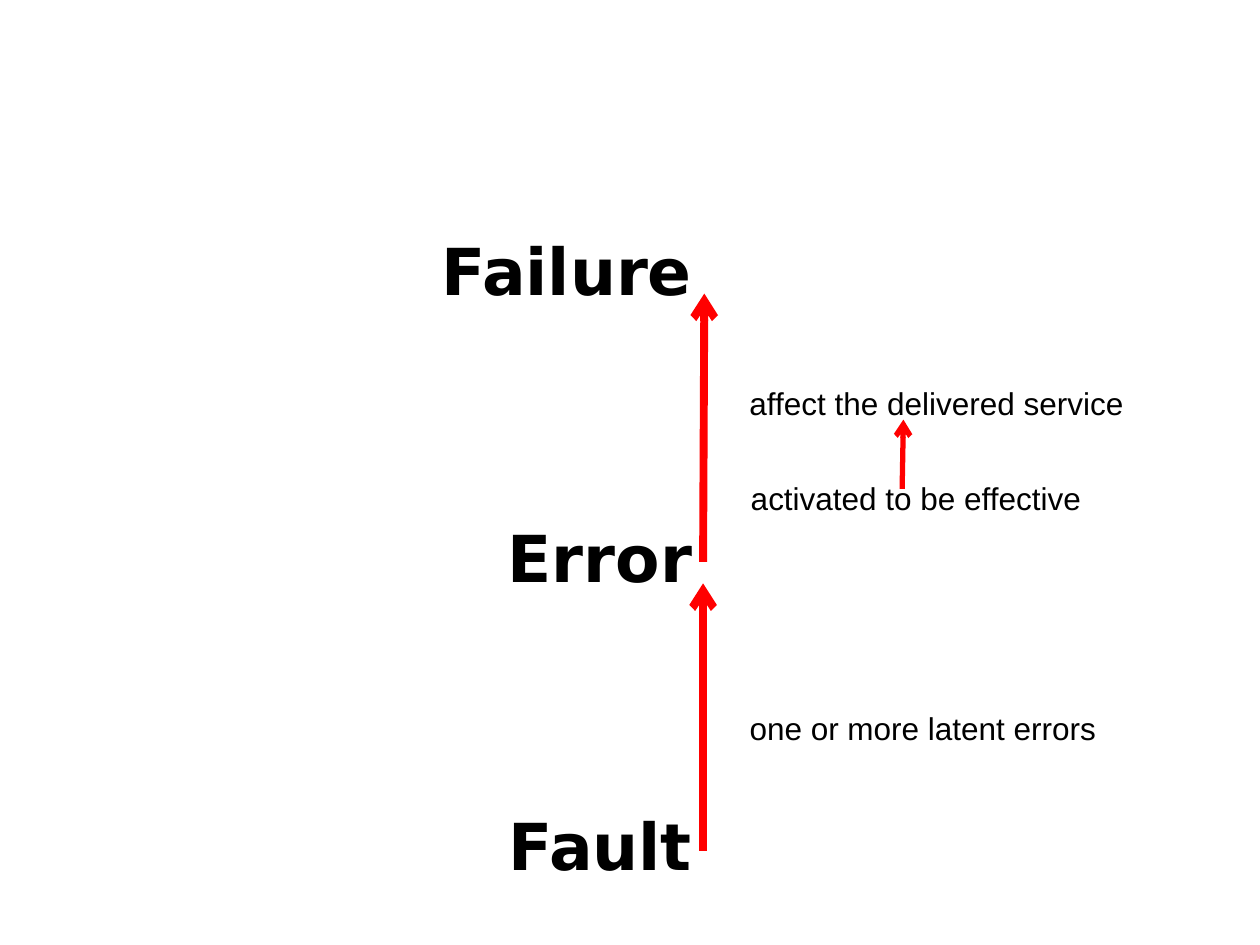
import pptx
import pptx.dml.color
import pptx.enum.shapes
import pptx.enum.text
import pptx.oxml.ns
import pptx.util
from lxml import etree

Inches, Pt = pptx.util.Inches, pptx.util.Pt
COLORS = {"text": "000000", "arrow": "FF0000"}

STAGES = ["Failure", "Error", "Fault"]
STAGE_GAP = 120  # points between stages

# text, left, top, width
NOTES = [
    ("one or more latent errors", 5.85, 5.58, 2.95),
    ("activated to be effective", 5.86, 3.75, 2.82),
    ("affect the delivered service", 5.85, 3, 3.17),
]

# start, end, line width in points
ARROWS = [
    ((5.58, 6.75), (5.58, 4.63), 4.5),
    ((5.58, 4.46), (5.59, 2.33), 4.5),
    ((7.16, 3.88), (7.17, 3.33), 3),
]


def rgb(name):
    return pptx.dml.color.RGBColor.from_string(COLORS[name])


def format_runs(paragraph, font_name, size, bold=False):
    for run in paragraph.runs:
        run.font.name = font_name
        run.font.size = Pt(size)
        run.font.bold = bold
        run.font.color.rgb = rgb("text")


def add_stages(slide):
    box = slide.shapes.add_textbox(Inches(2.42), Inches(1.75), Inches(3.17), Inches(5.75))
    text_frame = box.text_frame
    text_frame.word_wrap = True
    text_frame.margin_top = Inches(0.08)
    text_frame.text = "\n".join(STAGES)
    for index, paragraph in enumerate(text_frame.paragraphs):
        paragraph.alignment = pptx.enum.text.PP_ALIGN.RIGHT
        paragraph.space_before = Pt(STAGE_GAP if index else 0)
        format_runs(paragraph, "DejaVu Sans", 37, bold=True)


def add_note(slide, text, left, top, width):
    box = slide.shapes.add_textbox(Inches(left), Inches(top), Inches(width), Inches(0.4))
    box.text_frame.word_wrap = False
    box.text_frame.auto_size = pptx.enum.text.MSO_AUTO_SIZE.SHAPE_TO_FIT_TEXT
    box.text_frame.text = text
    format_runs(box.text_frame.paragraphs[0], "Arial", 18)


def add_arrow(slide, start, end, width):
    connector = slide.shapes.add_connector(
        pptx.enum.shapes.MSO_CONNECTOR.STRAIGHT, *map(Inches, start + end))
    connector.line.color.rgb = rgb("arrow")
    connector.line.width = Pt(width)
    qn = pptx.oxml.ns.qn
    properties = connector.element.spPr
    etree.SubElement(properties.find(qn("a:ln")), qn("a:tailEnd"), type="arrow")
    etree.SubElement(properties, qn("a:effectLst"))


def main():
    presentation = pptx.Presentation()
    presentation.slide_width = Inches(10)
    presentation.slide_height = Inches(7.5)
    slide = presentation.slides.add_slide(presentation.slide_layouts[6])
    add_stages(slide)
    for note in NOTES:
        add_note(slide, *note)
    for arrow in ARROWS:
        add_arrow(slide, *arrow)
    presentation.save("out.pptx")


if __name__ == "__main__":
    main()
